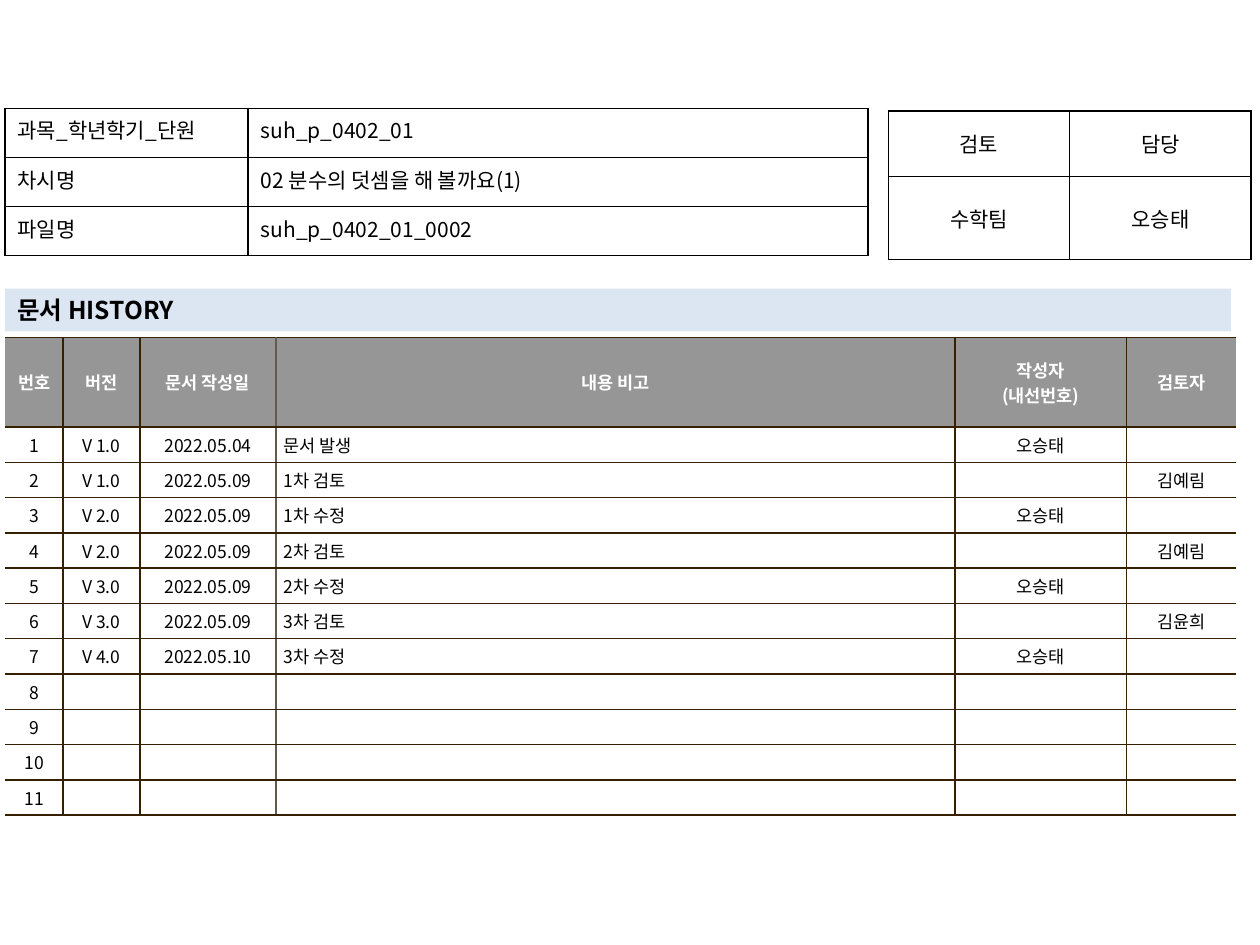
from dataclasses import dataclass
from typing import Optional

from lxml import etree
from pptx import Presentation
from pptx.dml.color import RGBColor
from pptx.enum.shapes import MSO_SHAPE
from pptx.enum.text import MSO_ANCHOR, PP_ALIGN
from pptx.oxml.ns import qn
from pptx.util import Inches, Pt

BLACK = RGBColor(0x00, 0x00, 0x00)
WHITE = RGBColor(0xFF, 0xFF, 0xFF)
GRAY = RGBColor(0x96, 0x96, 0x96)
BROWN = RGBColor(0x36, 0x20, 0x00)
TAUPE = RGBColor(0x64, 0x5B, 0x4C)
PALE_BLUE = RGBColor(0xDC, 0xE6, 0xF2)

LEFT, CENTER, JUSTIFY = PP_ALIGN.LEFT, PP_ALIGN.CENTER, PP_ALIGN.JUSTIFY
TOP, MIDDLE = MSO_ANCHOR.TOP, MSO_ANCHOR.MIDDLE
RECTANGLE = MSO_SHAPE.RECTANGLE

FONT = "Noto Sans CJK KR"
MARGIN = 0.04
NOTE_COLUMN, REVIEWER_COLUMN = 3, 5


@dataclass(frozen=True)
class CellStyle:
    size: int
    align: PP_ALIGN
    anchor: MSO_ANCHOR
    inset: tuple[float, float]
    color: RGBColor = BLACK
    bold: bool = False
    fill: Optional[RGBColor] = None
    hanging: float = 0


@dataclass(frozen=True)
class Grid:
    left: float
    top: float
    columns: list[float]
    rows: list[float]
    texts: list[list[str]]


INFO_LABEL = CellStyle(12, JUSTIFY, TOP, (0.1, 0.05))
INFO_VALUE = CellStyle(12, LEFT, TOP, (0.1, 0.05))
REVIEW = CellStyle(12, CENTER, MIDDLE, (0.1, 0.05))
HEADER = CellStyle(10, CENTER, MIDDLE, (0.06, 0.04), WHITE, True, GRAY)
ENTRY = CellStyle(10, CENTER, MIDDLE, (0.06, 0.04), fill=WHITE)
NOTE = CellStyle(10, LEFT, MIDDLE, (0.06, 0.04), fill=WHITE, hanging=0.19)
REVIEWER = CellStyle(10, CENTER, MIDDLE, (0.06, 0.04), fill=WHITE, hanging=0.09)

INFO_GRID = Grid(MARGIN, 0.86, [1.93, 4.92], [0.39] * 3, [
    ["과목_학년학기_단원", "suh_p_0402_01"],
    ["차시명", "02 분수의 덧셈을 해 볼까요(1)"],
    ["파일명", "suh_p_0402_01_0002"],
])
REVIEW_GRID = Grid(7.05, 0.88, [1.44] * 2, [0.52, 0.66], [
    ["검토", "담당"],
    ["수학팀", "오승태"],
])

HISTORY_HEADER = ["번호", "버전", "문서 작성일", "내용 비고", "작성자\n(내선번호)", "검토자"]
HISTORY_ENTRIES = [
    ["V 1.0", "2022.05.04", "문서 발생", "오승태", ""],
    ["V 1.0", "2022.05.09", "1차 검토", "", "김예림"],
    ["V 2.0", "2022.05.09", "1차 수정", "오승태", ""],
    ["V 2.0", "2022.05.09", "2차 검토", "", "김예림"],
    ["V 3.0", "2022.05.09", "2차 수정", "오승태", ""],
    ["V 3.0", "2022.05.09", "3차 검토", "", "김윤희"],
    ["V 4.0", "2022.05.10", "3차 수정", "오승태", ""],
]
ENTRY_ROWS = 11
BLANK_ENTRIES = [[""] * 5] * (ENTRY_ROWS - len(HISTORY_ENTRIES))
HISTORY_GRID = Grid(
    MARGIN, 2.68, [0.46, 0.61, 1.08, 5.39, 1.36, 0.87],
    [0.71] + [0.28] * ENTRY_ROWS,
    [HISTORY_HEADER] + [[str(number), *entry] for number, entry
                        in enumerate(HISTORY_ENTRIES + BLANK_ENTRIES, 1)],
)


def format_text(frame, size: int, color: RGBColor, bold: bool, align: PP_ALIGN) -> None:
    for paragraph in frame.paragraphs:
        paragraph.alignment = align
        for run in paragraph.runs:
            run.font.size = Pt(size)
            run.font.bold = bold
            run.font.color.rgb = color
            run.font.name = FONT
            etree.SubElement(run.font._element, qn("a:ea"), typeface=FONT)
        if not paragraph.runs:  # keeps an empty cell as low as a filled one
            etree.SubElement(paragraph._p, qn("a:endParaRPr"), sz=str(size * 100))


def set_border(cell, side: str, color: Optional[RGBColor]) -> None:
    line = etree.SubElement(cell._tc.get_or_add_tcPr(), qn(f"a:ln{side}"), w=str(Pt(1)))
    if color is None:
        etree.SubElement(line, qn("a:noFill"))
    else:
        solid = etree.SubElement(line, qn("a:solidFill"))
        etree.SubElement(solid, qn("a:srgbClr"), val=str(color))


def style_cell(cell, text: str, style: CellStyle) -> None:
    cell.text_frame.text = text
    format_text(cell.text_frame, style.size, style.color, style.bold, style.align)
    cell.vertical_anchor = style.anchor
    cell.margin_left = cell.margin_right = Inches(style.inset[0])
    cell.margin_top = cell.margin_bottom = Inches(style.inset[1])
    if style.hanging:
        properties = cell.text_frame.paragraphs[0]._p.get_or_add_pPr()
        properties.set("marL", str(Inches(style.hanging)))
        properties.set("indent", str(-Inches(style.hanging)))
    if style.fill is None:
        cell.fill.background()
    else:
        cell.fill.solid()
        cell.fill.fore_color.rgb = style.fill


def draw_grid(slide, grid: Grid, styles: list[list[CellStyle]],
              verticals: list[Optional[RGBColor]], horizontal: RGBColor) -> None:
    """verticals holds the colour of each vertical rule, from left to right."""
    table = slide.shapes.add_table(
        len(grid.rows), len(grid.columns), Inches(grid.left), Inches(grid.top),
        Inches(sum(grid.columns)), Inches(sum(grid.rows))).table
    table.first_row = table.horz_banding = False
    for column, width in zip(table.columns, grid.columns):
        column.width = Inches(width)
    for row, height in zip(table.rows, grid.rows):
        row.height = Inches(height)
    for r, texts in enumerate(grid.texts):
        for c, text in enumerate(texts):
            cell = table.cell(r, c)
            set_border(cell, "L", verticals[c])
            set_border(cell, "R", verticals[c + 1])
            set_border(cell, "T", horizontal)
            set_border(cell, "B", horizontal)
            style_cell(cell, text, styles[r][c])


def draw_heading(slide, text: str) -> None:
    band = slide.shapes.add_shape(
        RECTANGLE, Inches(MARGIN), Inches(2.29), Inches(9.73), Inches(0.34))
    band.shadow.inherit = False
    band.fill.solid()
    band.fill.fore_color.rgb = PALE_BLUE
    band.line.fill.background()
    frame = band.text_frame
    frame.text = text
    frame.word_wrap = True
    frame.vertical_anchor = MIDDLE
    format_text(frame, 14, BLACK, True, LEFT)


def main() -> None:
    presentation = Presentation()
    presentation.slide_width, presentation.slide_height = Inches(10), Inches(7.5)
    slide = presentation.slides.add_slide(presentation.slide_layouts[6])

    # Revision history, open at its left and right edges
    entry_styles = [ENTRY] * len(HISTORY_HEADER)
    entry_styles[NOTE_COLUMN] = NOTE
    entry_styles[REVIEWER_COLUMN] = REVIEWER
    draw_grid(slide, HISTORY_GRID,
              [[HEADER] * len(HISTORY_HEADER)] + [entry_styles] * ENTRY_ROWS,
              [None, BROWN, BROWN, TAUPE, BROWN, BROWN, None], BROWN)

    # Review and owner box
    draw_grid(slide, REVIEW_GRID, [[REVIEW] * 2] * 2, [BLACK] * 3, BLACK)

    # Heading band
    draw_heading(slide, "문서 HISTORY")

    # Document details
    draw_grid(slide, INFO_GRID, [[INFO_LABEL, INFO_VALUE]] * 3, [BLACK] * 3, BLACK)

    presentation.save("out.pptx")


if __name__ == "__main__":
    main()
